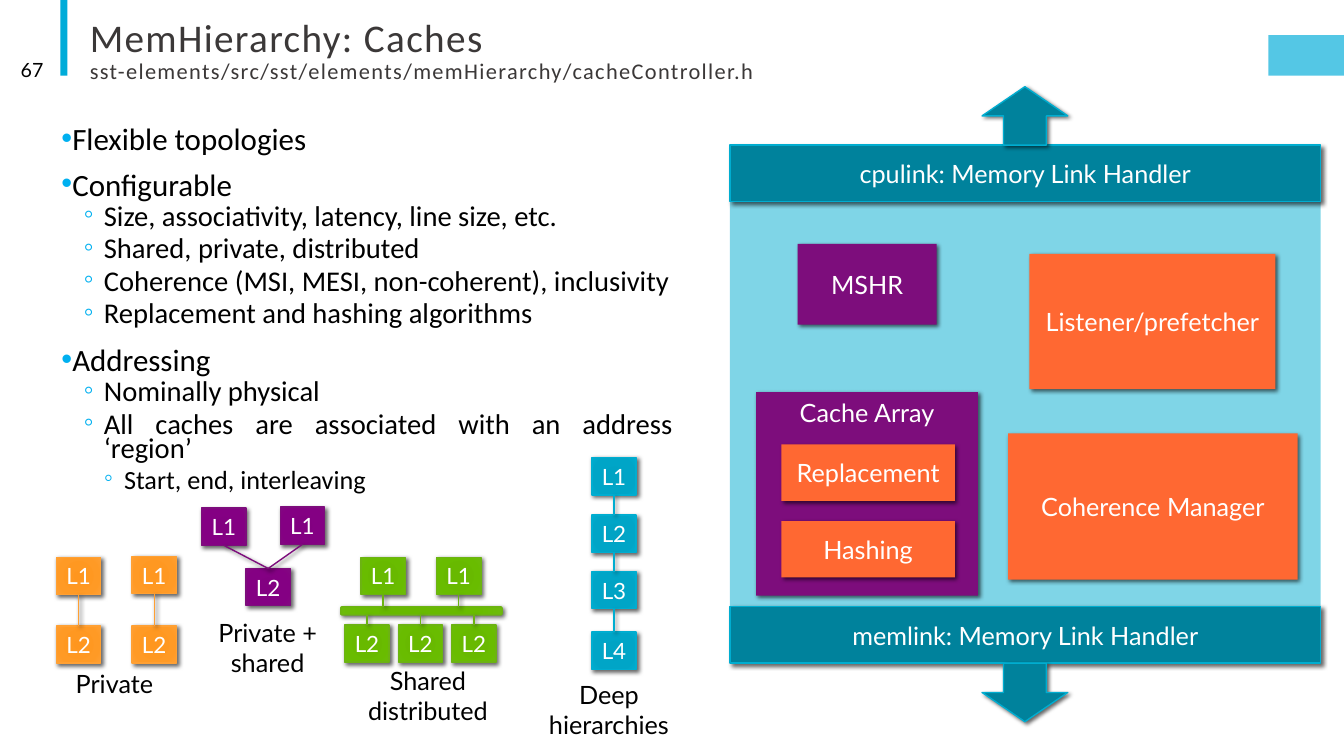
from dataclasses import dataclass
from lxml.etree import SubElement
from pptx import Presentation
from pptx.dml.color import RGBColor
from pptx.enum.shapes import MSO_CONNECTOR as Link, MSO_SHAPE as Kind
from pptx.enum.text import MSO_ANCHOR as Anchor, MSO_AUTO_SIZE as Auto, PP_ALIGN as Align
from pptx.oxml.ns import qn
from pptx.util import Inches, Pt


@dataclass(frozen=True)
class Theme:
    """Colours, fonts and type sizes of the slide."""
    head: str = "Calibri"
    text: str = "Lato"
    black: str = "000000"
    white: str = "FFFFFF"
    grey: str = "3B3838"
    brand: str = "00ACD9"
    bullet: str = "00B0F0"
    sky: str = "00ADD0"
    teal: str = "00829C"
    plum: str = "7D0D7C"
    coral: str = "FF6832"
    title: float = 28
    small: float = 16
    label: float = 18
    page: float = 14
    levels: tuple = (22.1, 20.4, 18.7)
    blue_fade: tuple = ("00A1C2", "00A3C4", "00A5C7", "00ADD0")
    plum_fade: tuple = ("81007F", "820081", "840083", "830781")
    gold_fade: tuple = ("FF961E", "FF9821", "FF9A25", "FFA033")
    green_fade: tuple = ("67B800", "68B900", "69BC00", "6DBB0A")
    green: str = "6CB312"
    gold: str = "FFA033"


T = Theme()
CELL = (0.44, 0.37)


def rgb(hue):
    """Turn a hex string into a colour."""
    return RGBColor.from_string(hue)


def node(parent, tag, **attrs):
    """Add a drawing element with the given attributes."""
    return SubElement(parent, qn(f"a:{tag}"), {k: str(v) for k, v in attrs.items()})


def write(para, text, size, hue, font=T.text):
    """Add one styled run to a paragraph."""
    run = para.add_run()
    run.text = text
    run.font.size, run.font.name = Pt(size), font
    run.font.color.rgb = rgb(hue)
    return run


def shade(shape, on=True):
    """Set or clear the soft shadow of a shape or line."""
    effects = node(shape._element.spPr, "effectLst")
    if on:
        cast = node(effects, "outerShdw", blurRad=Pt(3), dist=Pt(2), dir=45 * 60000,
                    algn="tl", rotWithShape=0)
        node(node(cast, "srgbClr", val=T.black), "alpha", val=60000)


def fade(shape, hues):
    """Swap the solid fill for a radial blend."""
    solid = shape._element.spPr.find(qn("a:solidFill"))
    blend = node(shape._element.spPr, "gradFill", rotWithShape=1)
    solid.getparent().replace(solid, blend)
    stops = node(blend, "gsLst")
    for pos, hue in zip((0, 34, 70, 100), hues):
        node(node(stops, "gs", pos=pos * 1000), "srgbClr", val=hue)
    node(node(blend, "path", path="circle"), "fillToRect", l=100000, t=100000, r=100000, b=100000)


def block(shapes, box, hue, text="", kind=Kind.RECTANGLE, edge=None, alpha=None,
          shadow=True, size=T.label, anchor=Anchor.MIDDLE, blend=None, pad=0.1):
    """Draw one filled shape with centred text."""
    shape = shapes.add_shape(kind, *map(Inches, box))
    shape.fill.solid()
    shape.fill.fore_color.rgb = rgb(hue)
    if alpha:
        tint = shape._element.spPr.find(qn("a:solidFill"))[0]
        node(tint, "alpha", val=alpha * 1000)
    if blend:
        fade(shape, blend)
    if edge:
        shape.line.color.rgb, shape.line.width = rgb(edge), Pt(1)
    else:
        shape.line.fill.background()
    shade(shape, shadow)
    if text:
        frame = shape.text_frame
        frame.word_wrap, frame.vertical_anchor = True, anchor
        frame.margin_left = frame.margin_right = Inches(pad)
        frame.paragraphs[0].alignment = Align.CENTER
        write(frame.paragraphs[0], text, size, T.white)
    return shape


def note(shapes, box, text, size=T.label, align=Align.CENTER, anchor=Anchor.TOP):
    """Place a plain wrapped text box."""
    frame = shapes.add_textbox(*map(Inches, box)).text_frame
    frame.word_wrap, frame.vertical_anchor = True, anchor
    frame.paragraphs[0].alignment = align
    write(frame.paragraphs[0], text, size, T.black)


def place(holder, box):
    """Move a placeholder and fix its text size."""
    holder.left, holder.top, holder.width, holder.height = map(Inches, box)
    holder.text_frame.auto_size = Auto.NONE
    holder.text_frame.word_wrap = True
    return holder.text_frame


def header(slide, box):
    """Fill the title, page number and accent bars."""
    left, top, wide, high = box
    block(slide.shapes, (left - 0.19, 0, 0.07, 0.75), T.brand, shadow=False)
    block(slide.shapes, (left + 11.79, 0.35, 0.75, 0.4), T.brand, alpha=67, shadow=False)
    note(slide.shapes, (left - 0.72, top + 0.23, 0.46, 0.4), "67", T.page, Align.RIGHT, Anchor.MIDDLE)
    frame = place(slide.shapes.title, box)
    frame.vertical_anchor = Anchor.BOTTOM
    para = frame.paragraphs[0]
    para.alignment, para.line_spacing = Align.LEFT, 0.85
    first = write(para, "MemHierarchy: Caches", T.title, T.grey, T.head)
    para.add_line_break()
    node(para._p.find(qn("a:br")), "rPr", sz=T.title * 100)
    second = write(para, "sst-elements/src/sst/elements/memHierarchy/cacheController.h",
                   T.small, T.grey, T.head)
    for run in (first, second):
        run._r.get_or_add_rPr().set("spc", "100")


def outline(slide, box, items):
    """Fill the body with bullets of three levels."""
    frame = place(slide.placeholders[1], box)
    frame.margin_left = frame.margin_right = 0
    frame.vertical_anchor = Anchor.TOP
    for i, (level, text) in enumerate(items):
        para = frame.add_paragraph() if i else frame.paragraphs[0]
        props = para._p.get_or_add_pPr()
        props.set("marL", str(Inches((0.1, 0.42, 0.62)[level])))
        props.set("indent", str(Inches(-0.2 if level else -0.3)))
        node(node(props, "buClr"), "srgbClr", val=T.bullet)
        node(props, "buChar", char="◦" if level else "•")
        para.level, para.line_spacing = level, 0.7
        para.alignment = Align.JUSTIFY if i else Align.LEFT
        para.space_before = Pt((2 if level else 12) if i else 0)
        para.space_after = Pt(4 if level else 2)
        write(para, text, T.levels[level], T.black, T.head)


def wire(shapes, edge, start, end=None, side=2, stop=None):
    """Join two cells, or one cell to a point."""
    line = shapes.add_connector(Link.STRAIGHT, 0, 0, 0, 0)
    line.begin_connect(start, side)
    if end is not None:
        line.end_connect(end, 0)
    else:
        line.end_x, line.end_y = line.begin_x, Inches(stop)
    line.line.color.rgb, line.line.width = rgb(edge), Pt(1)
    shade(line)


def layout(slide, spot, edge, blend, cells, links, label, area, bus=None):
    """Draw one cache topology with its caption."""
    left, top = spot
    shapes = slide.shapes.add_group_shape().shapes
    drawn = [block(shapes, (left + x, top + y, *CELL), edge, text, edge=edge,
                   size=T.small, blend=blend, pad=0) for text, x, y in cells]
    for a, b in links:
        wire(shapes, edge, drawn[a], drawn[b])
    if bus:
        x, y, wide, high = bus
        block(shapes, (left + x, top + y, wide, high), edge, kind=Kind.ROUNDED_RECTANGLE,
              edge=edge, blend=blend)
        for cell, (_, _, drop) in zip(drawn, cells):
            above = drop < y
            wire(shapes, edge, cell, side=2 if above else 0, stop=top + y + (0 if above else high))
    x, y, wide, high = area
    note(shapes, (left + x, top + y, wide, high), label)


def cache(slide, box):
    """Draw the parts inside one cache and its two links."""
    left, top, wide, high = box
    shapes, bar = slide.shapes, 0.56
    block(shapes, box, T.sky, alpha=50, shadow=False)
    for x, y, w, h, hue, text, anchor in (
            (2.76, 2.86, 2.87, 1.45, T.coral, "Coherence Manager", Anchor.MIDDLE),
            (0.26, 2.45, 2.2, 2.02, T.plum, "Cache Array", Anchor.TOP),
            (0.51, 2.97, 1.72, bar, T.coral, "Replacement", Anchor.MIDDLE),
            (0.51, 3.73, 1.72, bar, T.coral, "Hashing", Anchor.MIDDLE),
            (0.67, 0.98, 1.38, 0.8, T.plum, "MSHR", Anchor.MIDDLE),
            (2.97, 1.08, 2.44, 1.34, T.coral, "Listener/prefetcher", Anchor.MIDDLE)):
        block(shapes, (left + x, top + y, w, h), hue, text, anchor=anchor)
    for name, y, tip, kind in (("memlink", high - bar, high, Kind.DOWN_ARROW),
                               ("cpulink", 0, -0.58, Kind.UP_ARROW)):
        block(shapes, (left, top + y, wide, bar), T.teal, f"{name}: Memory Link Handler", edge=T.sky)
        block(shapes, (left + wide / 2 - 0.43, top + tip, 0.85, 0.58), T.teal, kind=kind, edge=T.sky)


def main():
    """Build and save the slide."""
    deck = Presentation()
    deck.slide_width, deck.slide_height = Inches(13.33), Inches(7.5)
    slide = deck.slides.add_slide(deck.slide_layouts[1])
    header(slide, (0.79, 0.26, 11, 0.62))
    outline(slide, (0.61, 1.24, 6.06, 3.73), (
        (0, "Flexible topologies"), (0, "Configurable"),
        (1, "Size, associativity, latency, line size, etc."), (1, "Shared, private, distributed"),
        (1, "Coherence (MSI, MESI, non-coherent), inclusivity"),
        (1, "Replacement and hashing algorithms"), (0, "Addressing"), (1, "Nominally physical"),
        (1, "All caches are associated with an address ‘region’"), (2, "Start, end, interleaving")))
    layout(slide, (5.87, 4.54), T.sky, T.blue_fade,
           [(f"L{i + 1}", 0, y) for i, y in enumerate((0, 0.57, 1.13, 1.73))],
           [(0, 1), (1, 2), (2, 3)], "Deep hierarchies", (-0.63, 2.15, 1.6, 0.71))
    layout(slide, (2, 5.03), T.plum, T.plum_fade,
           [("L1", 0, 0.01), ("L1", 0.78, 0), ("L2", 0.44, 0.61)],
           [(0, 2), (1, 2)], "Private + shared", (0.02, 1.04, 1.27, 0.71))
    layout(slide, (0.56, 5.52), T.gold, T.gold_fade,
           [("L1", 0, 0.01), ("L1", 0.75, 0), ("L2", 0, 0.69), ("L2", 0.75, 0.69)],
           [(0, 2), (1, 3)], "Private", (-0.06, 1.06, 1.27, 0.4))
    layout(slide, (3.42, 5.53), T.green, T.green_fade,
           [("L1", 0.16, 0), ("L1", 0.91, 0)] + [("L2", 0.53 * i, 0.67) for i in range(3)],
           [], "Shared distributed", (-0.15, 1.02, 1.95, 0.71), bus=(-0.04, 0.49, 1.6, 0.08))
    cache(slide, (7.24, 1.44, 5.86, 5.14))
    deck.save("out.pptx")


if __name__ == "__main__":
    main()
